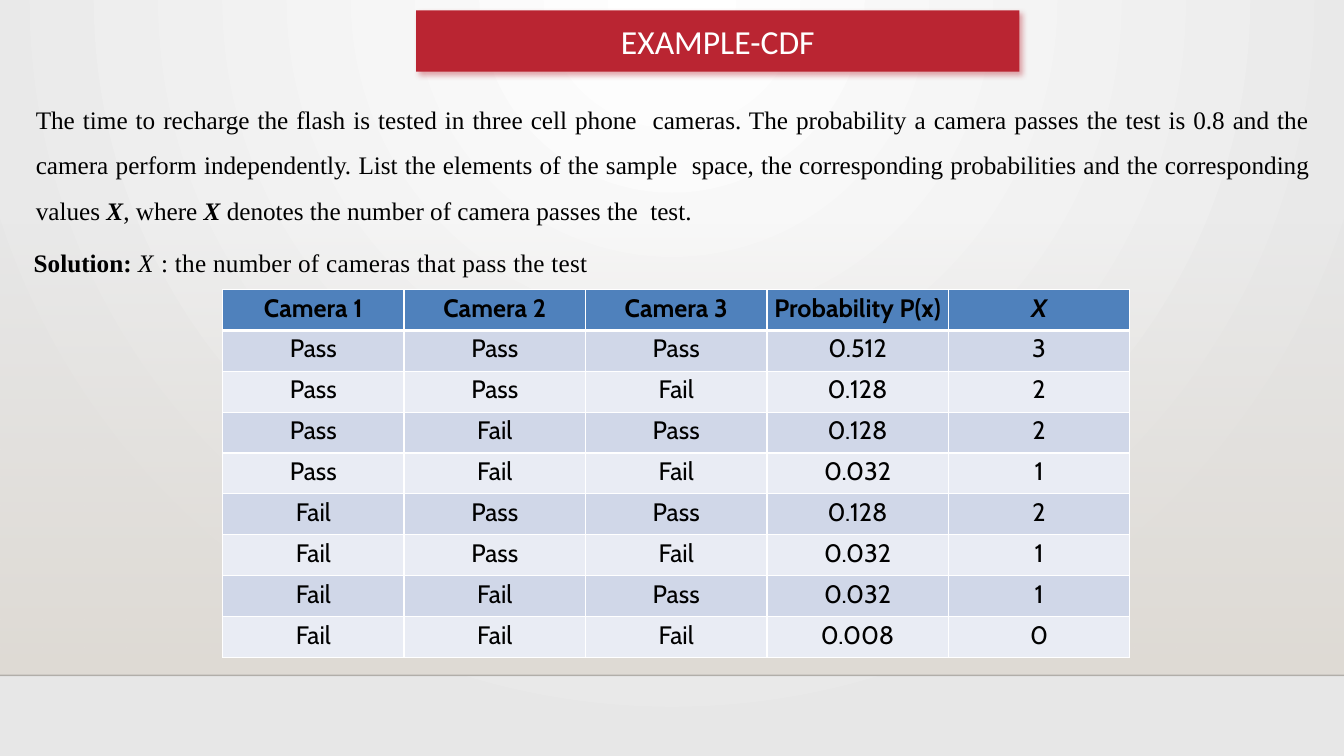
import dataclasses

import pptx
import pptx.dml.color
import pptx.enum.shapes
import pptx.enum.text
import pptx.oxml
import pptx.oxml.ns
import pptx.util

Pt = pptx.util.Pt
qn = pptx.oxml.ns.qn
Align = pptx.enum.text.PP_ALIGN
Anchor = pptx.enum.text.MSO_ANCHOR


@dataclasses.dataclass(frozen=True)
class Theme:
    white: str = "FFFFFF"
    black: str = "000000"
    grey: str = "E7E7E7"
    floor: str = "DFDBD5"
    floor_line: str = "000001"
    red: str = "BA2532"
    header: str = "4F81BC"
    odd_row: str = "D0D7E8"
    even_row: str = "E9ECF4"
    title_size: float = 24
    text_size: float = 18
    title_font: str = "Calibri"
    text_font: str = "Times New Roman"
    table_font: str = "Cabin"


THEME = Theme()

PROBLEM = [
    ("The time to recharge the flash is tested in three cell phone  cameras. "
     "The probability a camera passes the test is 0.8 and the  "
     "camera perform independently. List the elements of the sample  space, "
     "the corresponding probabilities and the corresponding  values ", "", 0),
    ("X", "bi", 0),
    (", where ", "", 0),
    ("X ", "bi", 0),
    ("denotes the number of camera passes the  test.", "", 0),
]
SOLUTION = [
    ("Solution: ", "b", 0),
    ("X ", "i", 0.5),
    (": the number of cameras that pass the test", "", 0.2),
]
OUTCOMES = [
    ("Camera 1", "Camera 2", "Camera 3", "Probability P(x)", "X"),
    ("Pass", "Pass", "Pass", "0.512", "3"),
    ("Pass", "Pass", "Fail", "0.128", "2"),
    ("Pass", "Fail", "Pass", "0.128", "2"),
    ("Pass", "Fail", "Fail", "0.032", "1"),
    ("Fail", "Pass", "Pass", "0.128", "2"),
    ("Fail", "Pass", "Fail", "0.032", "1"),
    ("Fail", "Fail", "Pass", "0.032", "1"),
    ("Fail", "Fail", "Fail", "0.008", "0"),
]


def rgb(value):
    return pptx.dml.color.RGBColor.from_string(value)


def xml(tag, attributes="", inner=""):
    namespace = pptx.oxml.ns.nsdecls("a")
    return pptx.oxml.parse_xml(f"<a:{tag} {namespace} {attributes}>{inner}</a:{tag}>")


def style_font(font, name, size, color):
    font.name, font.size = name, Pt(size)
    font.color.rgb = rgb(color)


def set_opacity(element, percent):
    """Apply opacity to the first explicit colour in an element."""
    color = element.find(".//" + qn("a:srgbClr"))
    color.append(xml("alpha", f'val="{percent * 1000}"'))


def set_gradient(fill, start, end):
    fill.gradient()
    for stop, color in zip(fill.gradient_stops, (start, end)):
        stop.color.rgb = rgb(color)


def paint_background(page):
    set_gradient(page.background.fill, THEME.white, THEME.grey)
    direction = page.element.find(".//" + qn("a:lin"))
    focus = '<a:fillToRect l="43000" t="0" r="43000" b="100000"/>'
    direction.getparent().replace(direction, xml("path", 'path="circle"', focus))


def add_floor(page, width, top, bottom):
    band = page.shapes.add_shape(
        pptx.enum.shapes.MSO_SHAPE.RECTANGLE, 0, Pt(top), Pt(width), Pt(bottom - top))
    band.shadow.inherit = False
    band.line.fill.background()
    set_gradient(band.fill, THEME.floor, THEME.floor)
    band.fill.gradient_angle = 270
    set_opacity(band.element, 0)

    edge = page.shapes.add_connector(
        pptx.enum.shapes.MSO_CONNECTOR.STRAIGHT, 0, Pt(bottom), Pt(width), Pt(bottom))
    edge.line.width = Pt(1)
    edge.line.color.rgb = rgb(THEME.floor_line)
    set_opacity(edge.element, 20)
    edge.element.spPr.append(xml("effectLst"))


def format_title(title, text, left, top, width, height):
    title.left, title.top, title.width, title.height = map(Pt, (left, top, width, height))
    properties = title.element.spPr
    properties.append(xml("prstGeom", 'prst="roundRect"', "<a:avLst/>"))
    title.fill.solid()
    title.fill.fore_color.rgb = rgb(THEME.red)
    shadow = (f'<a:outerShdw blurRad="{Pt(4)}" dist="{Pt(3)}" dir="2700000" rotWithShape="0">'
              f'<a:srgbClr val="{THEME.red}"><a:alpha val="40000"/></a:srgbClr></a:outerShdw>')
    properties.append(xml("effectLst", inner=shadow))
    frame = title.text_frame
    frame.text = text
    frame.vertical_anchor = Anchor.MIDDLE
    para = frame.paragraphs[0]
    para.alignment = Align.CENTER
    style_font(para.runs[0].font, THEME.title_font, THEME.title_size, THEME.white)


def add_text(page, spans, left, top, width, height, align=Align.LEFT, spacing=1.0):
    box = page.shapes.add_textbox(Pt(left), Pt(top), Pt(width), Pt(height))
    box.text_frame.word_wrap = True
    para = box.text_frame.paragraphs[0]
    para.alignment, para.line_spacing = align, spacing
    for text, emphasis, tracking in spans:
        span = para.add_run()
        span.text = text
        style_font(span.font, THEME.text_font, THEME.text_size, THEME.black)
        span.font.bold, span.font.italic = "b" in emphasis, "i" in emphasis
        if tracking:
            span.font._element.set("spc", str(round(tracking * 100)))


def set_borders(cell, top, bottom):
    properties = cell._tc.get_or_add_tcPr()
    for side, weight in (("L", 1), ("R", 1), ("T", top), ("B", bottom)):
        paint = f'<a:solidFill><a:srgbClr val="{THEME.white}"/></a:solidFill>'
        properties.append(xml(f"ln{side}", f'w="{Pt(weight)}"', paint))


def format_cell(cell, text, row):
    cell.margin_left = cell.margin_right = cell.margin_bottom = 0
    cell.margin_top = Pt(2.3)
    set_borders(cell, top=3 if row == 1 else 1, bottom=3 if row == 0 else 1)
    cell.fill.solid()
    stripe = THEME.odd_row if row % 2 else THEME.even_row
    cell.fill.fore_color.rgb = rgb(stripe if row else THEME.header)
    cell.text_frame.text = text
    para = cell.text_frame.paragraphs[0]
    para.alignment = Align.CENTER
    font = para.runs[0].font
    style_font(font, THEME.table_font, THEME.text_size, THEME.black)
    font.bold, font.italic = row == 0, text == "X"


def add_outcome_table(page, rows, left, top, width, height):
    table = page.shapes.add_table(
        len(rows), len(rows[0]), Pt(left), Pt(top), Pt(width), Pt(height)).table
    for column in table.columns:
        column.width = Pt(width / len(rows[0]))
    for row, texts in enumerate(rows):
        table.rows[row].height = Pt(height / len(rows))
        for column, text in enumerate(texts):
            format_cell(table.cell(row, column), text, row)


def main():
    deck = pptx.Presentation()
    deck.slide_width, deck.slide_height = Pt(960), Pt(540)
    page = deck.slides.add_slide(deck.slide_layouts[5])

    # Backdrop
    paint_background(page)
    add_floor(page, width=960, top=159, bottom=482.4)

    # Title and exercise
    format_title(page.shapes.title, "EXAMPLE-CDF", 297.2, 7.4, 431, 43.8)
    add_text(page, PROBLEM, 18.5, 60, 930, 101.5, Align.JUSTIFY, 1.5)
    add_text(page, SOLUTION, 17, 172.8, 480, 29)

    # Sample space
    add_outcome_table(page, OUTCOMES, 159, 206.8, 648, 262.8)

    deck.save("out.pptx")


if __name__ == "__main__":
    main()
